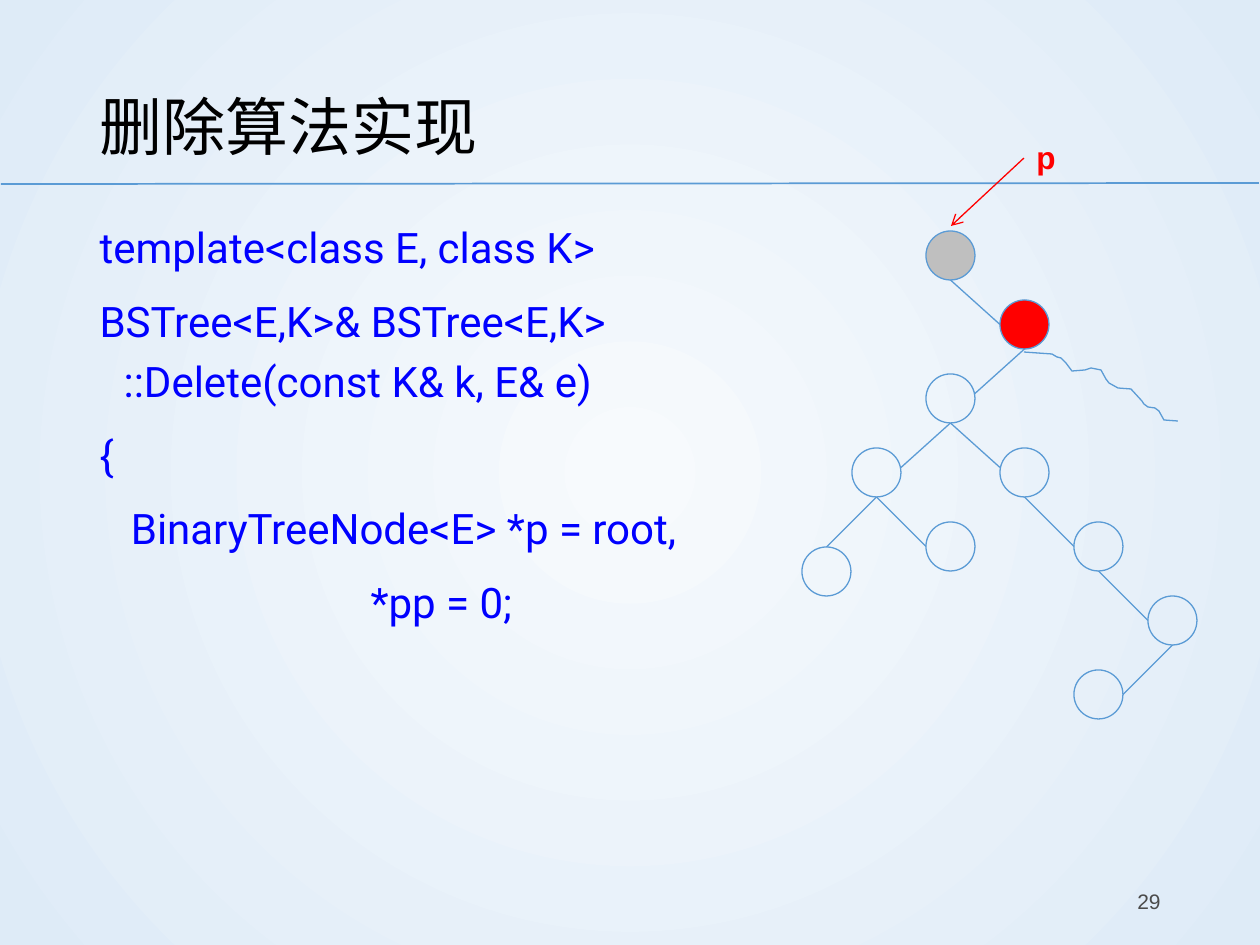
from lxml.etree import SubElement
from pptx import Presentation
from pptx.dml.color import RGBColor
from pptx.enum.shapes import MSO_CONNECTOR, MSO_SHAPE
from pptx.enum.text import MSO_ANCHOR, MSO_AUTO_SIZE, PP_ALIGN
from pptx.oxml.ns import qn
from pptx.util import Emu, Pt

SCALE = 914400 / 126
BLUE, RED, GRAY = "5B9BD5", "FF0000", "BFBFBF"
CODE = [
    "template<class E, class K>",
    "BSTree<E,K>& BSTree<E,K>\v::Delete(const K& k, E& e)",
    "{",
    "   BinaryTreeNode<E> *p = root,",
    "                          *pp = 0;",
]
DIAMETER = 49
GRID_LEFT, GRID_TOP, GRID_STEP = 50, 168, 74
GRID_NODES = {
    "child": (2, 0), "middle": (1, 1), "left": (0, 2), "right": (2, 2),
    "inner": (1, 3), "far right": (3, 3), "deep": (4, 4), "last": (3, 5),
}
FREE_NODES = {"root": (124, 99), "outer": (0, 415)}
NODE_FILLS = {"root": GRAY, "child": RED}
EDGES = [
    ("root", "child", "left", 0), ("child", "middle", "right", 5),
    ("middle", "left", "right", 5), ("middle", "right", "left", 5),
    ("left", "outer", "top", 0), ("left", "inner", "left", 0),
    ("right", "far right", "left", 0), ("far right", "deep", "left", 0),
    ("deep", "last", "right", 0),
]
BRANCH_START = (222, 220)
BRANCH_POINTS = [
    (28, 2), (33, 5), (37, 6), (42, 11), (48, 19), (61, 18), (67, 16),
    (77, 18), (82, 27), (85, 31), (94, 36), (107, 37), (118, 49), (120, 52),
    (124, 55), (131, 56), (135, 59), (140, 68), (154, 69),
]


def px(length):
    """Turn pixels into EMU."""
    return Emu(round(length * SCALE))


def color(value):
    """Turn a hex string into a colour."""
    return RGBColor.from_string(value)


def place(shape, box):
    """Move and size a shape to a pixel box."""
    shape.left, shape.top, shape.width, shape.height = map(px, box)


def format_paragraph(paragraph, font_name, size, hex_color, bold=False):
    """Format every run of a paragraph."""
    for run in paragraph.runs:
        run.font.name = font_name
        run.font.size = Pt(size)
        run.font.bold = bold
        run.font.color.rgb = color(hex_color)


def add_background(slide):
    """Fill the background with a circular gradient."""
    fill = slide.background.fill
    fill.gradient()
    for stop, position, value in zip(fill.gradient_stops, (0, 1), ("F7FAFD", "DEEBF7")):
        stop.position = position
        stop.color.rgb = color(value)
    gradient = slide.element.find(".//" + qn("a:gradFill"))
    gradient.remove(gradient.find(qn("a:lin")))
    circle = SubElement(gradient, qn("a:path"), path="circle")
    SubElement(circle, qn("a:fillToRect"), dict.fromkeys("ltrb", "50000"))


def add_line(slide, start, end, hex_color=BLUE, width=0.75, arrow=False):
    """Draw a straight line between two pixel points."""
    line = slide.shapes.add_connector(MSO_CONNECTOR.STRAIGHT, *map(px, (*start, *end)))
    line.line.color.rgb = color(hex_color)
    line.line.width = Pt(width)
    if arrow:
        SubElement(line.line._get_or_add_ln(), qn("a:tailEnd"), type="arrow")
    SubElement(line._element.spPr, qn("a:effectLst"))


def add_label(slide, box, text, size, hex_color, bold=False, alignment=PP_ALIGN.LEFT):
    """Add a one-line text box."""
    label = slide.shapes.add_textbox(*map(px, box))
    frame = label.text_frame
    frame.word_wrap = True
    frame.text = text
    frame.paragraphs[0].alignment = alignment
    format_paragraph(frame.paragraphs[0], "Arial", size, hex_color, bold)
    return label


def add_title(slide, box):
    """Fill the title placeholder."""
    title = slide.shapes.title
    place(title, box)
    frame = title.text_frame
    frame.text = "删除算法实现"
    frame.vertical_anchor = MSO_ANCHOR.MIDDLE
    frame.auto_size = MSO_AUTO_SIZE.NONE
    paragraph = frame.paragraphs[0]
    paragraph.alignment = PP_ALIGN.LEFT
    paragraph.line_spacing = 1.2
    format_paragraph(paragraph, "Arial", 36, "000000")


def add_code(slide, box):
    """Fill the body placeholder with the code lines."""
    body = slide.placeholders[1]
    place(body, box)
    frame = body.text_frame
    frame.text = "\n".join(CODE)
    frame.auto_size = MSO_AUTO_SIZE.NONE
    for index, paragraph in enumerate(frame.paragraphs):
        properties = paragraph._p.get_or_add_pPr()
        properties.set("marL", str(px(24)))
        properties.set("indent", str(-px(24)))
        SubElement(properties, qn("a:buNone"))
        paragraph.line_spacing = 1.2
        paragraph.space_before = Pt(7.5 if index else 0)
        format_paragraph(paragraph, "Roboto", 24, "0000FF")


def outline(shape, fill=None):
    """Give a shape a thin blue line and an optional fill."""
    shape.shadow.inherit = False
    shape.line.color.rgb = color(BLUE)
    shape.line.width = Pt(0.75)
    if fill:
        shape.fill.solid()
        shape.fill.fore_color.rgb = color(fill)
    else:
        shape.fill.background()


def add_tree(slide, box):
    """Draw the search tree, its side branch and the pointer p."""
    left, top = box[:2]

    def at(x, y):
        """Shift a point into the tree box."""
        return left + x, top + y

    nodes = {name: at(*corner) for name, corner in FREE_NODES.items()}
    for name, (column, row) in GRID_NODES.items():
        nodes[name] = at(GRID_LEFT + column * GRID_STEP, GRID_TOP + row * GRID_STEP)
    for name, corner in nodes.items():
        node = slide.shapes.add_shape(MSO_SHAPE.OVAL, *map(px, (*corner, DIAMETER, DIAMETER)))
        outline(node, NODE_FILLS.get(name))

    radius = DIAMETER / 2
    sides = {"top": (radius, 0), "left": (0, radius), "right": (DIAMETER, radius)}
    for parent, child, side, rise in EDGES:
        parent_x, parent_y = nodes[parent]
        child_x, child_y = nodes[child]
        side_x, side_y = sides[side]
        add_line(slide, (parent_x + radius, parent_y + DIAMETER),
                 (child_x + side_x, child_y + side_y - rise))

    builder = slide.shapes.build_freeform(0, 0, scale=SCALE)
    builder.add_line_segments(BRANCH_POINTS, close=False)
    outline(builder.convert_to_shape(*map(px, at(*BRANCH_START))))

    add_line(slide, at(222, 26), at(149, 94), RED, arrow=True)
    add_label(slide, (*at(222, 0), 74, 50), "p", 18, RED, bold=True)


def main():
    """Build and save the slide."""
    presentation = Presentation()
    presentation.slide_width, presentation.slide_height = px(1260), px(945)
    slide = presentation.slides.add_slide(presentation.slide_layouts[1])
    add_background(slide)
    add_line(slide, (1, 184), (1259, 183), width=1)
    add_title(slide, (87, 50, 1086, 136))
    add_code(slide, (87, 205, 1086, 646))
    number = add_label(slide, (890, 876, 283, 50), "29", 12, "4B4B4B", alignment=PP_ALIGN.RIGHT)
    number.text_frame.vertical_anchor = MSO_ANCHOR.MIDDLE
    add_tree(slide, (802, 132, 396, 588))
    presentation.save("out.pptx")


if __name__ == "__main__":
    main()
